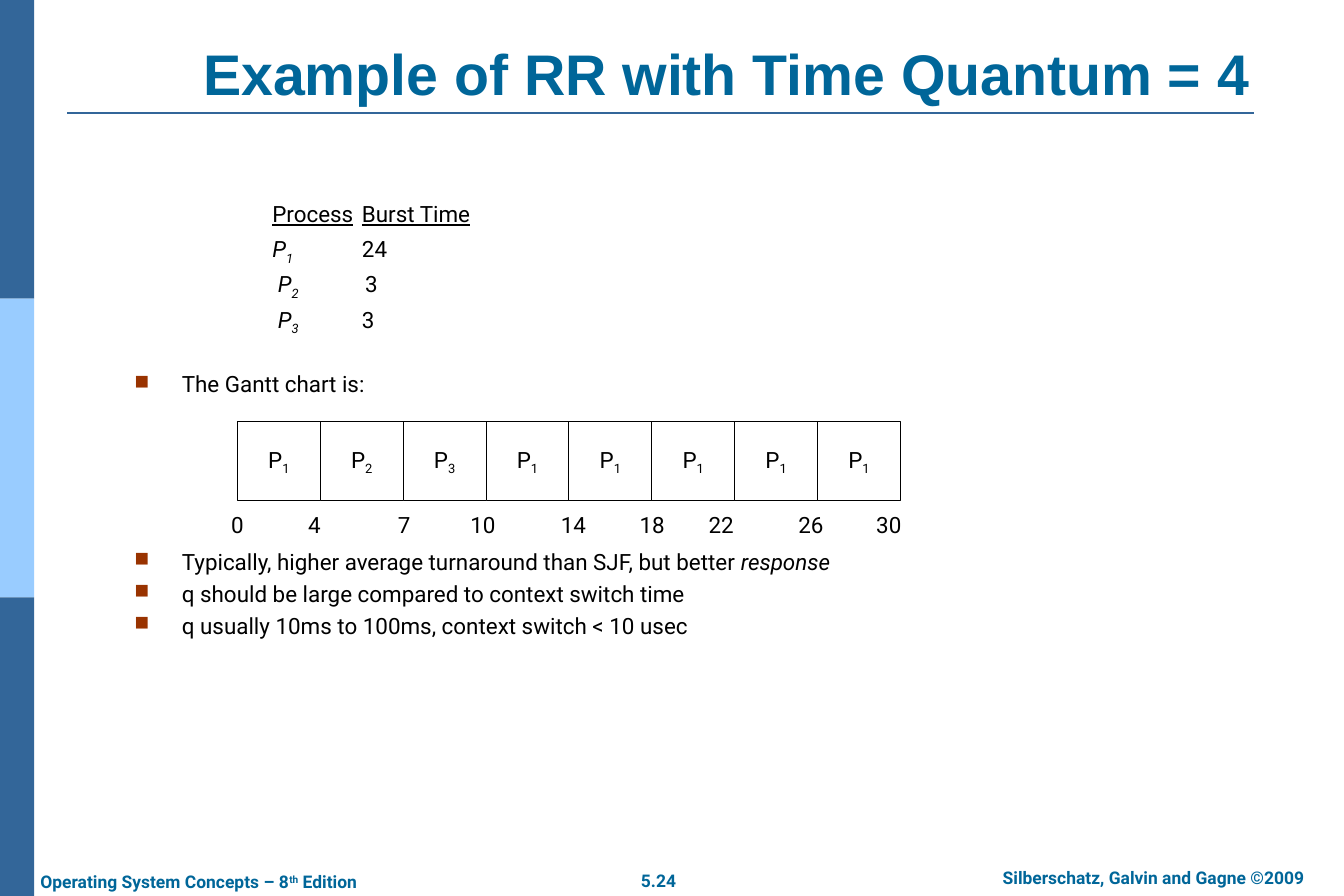
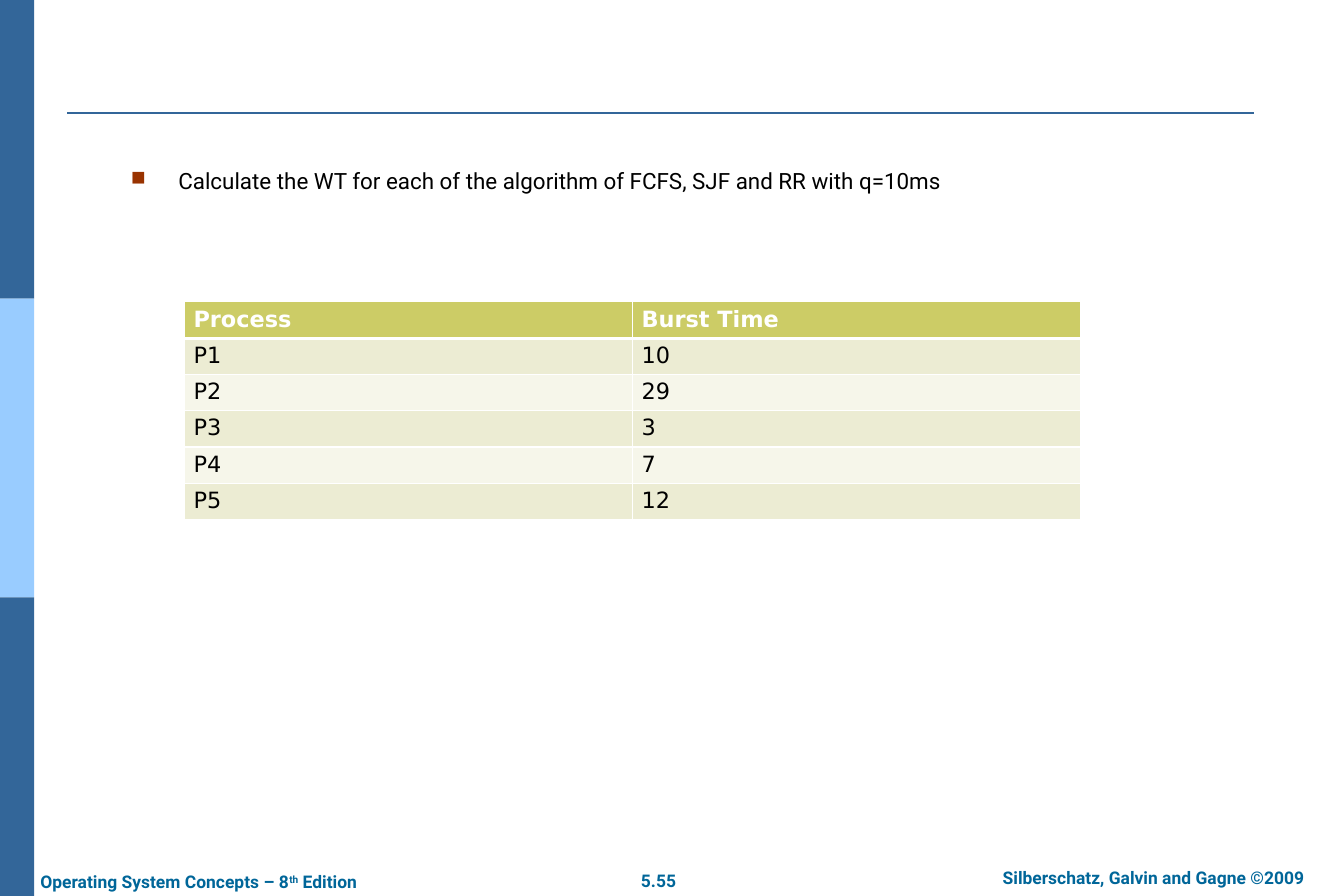
"""Build two lecture slides on round-robin CPU scheduling."""
from dataclasses import dataclass, field
from typing import Any

from lxml.etree import SubElement
from pptx import Presentation
from pptx.dml.color import RGBColor
from pptx.enum.shapes import MSO_CONNECTOR, MSO_SHAPE
from pptx.enum.text import MSO_ANCHOR, PP_ALIGN
from pptx.oxml.ns import qn
from pptx.util import Inches, Pt

BAND, LIGHT_BAND, ACCENT, BULLET = "336699", "99CCFF", "006699", "993300"
BLACK, WHITE = "000000", "FFFFFF"
HEADER_FILL, ROW_FILLS = "CCCC66", ("ECECD3", "F6F6EA")

BODY = {"name": "Roboto", "size": Pt(18), "bold": False}
FOOTER = {"name": "Roboto", "size": Pt(14), "bold": True}
TITLE = {"name": "Arial", "size": Pt(46), "bold": True}
CELL = {"name": "DejaVu Sans", "size": Pt(18)}
SUBSCRIPT, SUPERSCRIPT = -25, 30
WIDE_INSET, NARROW_INSET = (0.14, 0.07), (0.1, 0.05)
HANGING = 0.53


@dataclass
class Span:
    text: str
    baseline: int = 0
    style: dict[str, Any] = field(default_factory=dict)


@dataclass
class Area:
    left: float
    top: float
    width: float
    height: float

    def lengths(self) -> list[int]:
        return [Inches(value) for value in (self.left, self.top, self.width, self.height)]


@dataclass
class Look:
    font: dict[str, Any]
    color: str = BLACK
    align: PP_ALIGN = PP_ALIGN.LEFT
    anchor: MSO_ANCHOR = MSO_ANCHOR.TOP
    wrap: bool = True
    inset: tuple[float, float] = WIDE_INSET
    spacing: float = 1.0
    bullet: bool = False
    tab: float = 0


@dataclass
class TimeMark:
    label: str
    center: float


Line = list[Span]

BODY_LOOK = Look(BODY, spacing=0.9)
BULLET_LOOK = Look(BODY, spacing=0.9, bullet=True)
PROCESS_LOOK = Look(BODY, spacing=0.9, tab=1.0)
GANTT_LOOK = Look(BODY, align=PP_ALIGN.CENTER, anchor=MSO_ANCHOR.MIDDLE,
                  wrap=False, inset=NARROW_INSET)
TITLE_LOOK = Look(TITLE, ACCENT, PP_ALIGN.CENTER, MSO_ANCHOR.BOTTOM)
FOOTER_LOOK = Look(FOOTER, ACCENT, wrap=False)
CENTERED_FOOTER_LOOK = Look(FOOTER, ACCENT, PP_ALIGN.CENTER, wrap=False)

ITALIC, UNDERLINE = {"italic": True}, {"underline": True}
PROCESS_LINES: list[Line] = [
    [Span("Process", style=UNDERLINE), Span("\t"), Span("Burst Time", style=UNDERLINE)],
    [Span("P", style=ITALIC), Span("1\t", SUBSCRIPT, ITALIC), Span("24")],
    [Span(" "), Span("P", style=ITALIC), Span("2\t ", SUBSCRIPT, ITALIC), Span("3")],
    [Span(" "), Span("P", style=ITALIC), Span("3\t", SUBSCRIPT, ITALIC), Span("3")],
]
REMARKS: list[Line] = [
    [Span("Typically, higher average turnaround than SJF, but better "),
     Span("response", style=ITALIC)],
    [Span("q should be large compared to context switch time")],
    [Span("q usually 10ms to 100ms, context switch < 10 usec")],
]
GANTT_ORDER = "12311111"
GANTT_LEFT, GANTT_TOP, GANTT_STEP, GANTT_HEIGHT = 2.65, 4.7, 0.925, 0.89
TIME_MARKS = [
    TimeMark("0", 2.65), TimeMark("4", 3.51), TimeMark("7", 4.51),
    TimeMark("10", 5.39), TimeMark("14", 6.4), TimeMark("18", 7.28),
    TimeMark("22", 8.05), TimeMark("26", 9.05), TimeMark("30", 9.92),
]
BURST_ROWS = [("Process", "Burst Time"), ("P1", "10"), ("P2", "29"),
              ("P3", "3"), ("P4", "7"), ("P5", "12")]


def color_of(value: str) -> RGBColor:
    """Turn a hex string into a colour."""
    return RGBColor.from_string(value)


def set_values(target: Any, values: dict[str, Any]) -> None:
    """Set each named attribute on the target."""
    for name, value in values.items():
        setattr(target, name, value)


def add_spans(para: Any, line: Line, look: Look) -> None:
    """Write the spans of one line into a paragraph."""
    for span in line:
        run = para.add_run()
        run.text = span.text
        set_values(run.font, look.font | span.style)
        run.font.color.rgb = color_of(look.color)
        if span.baseline:
            run.font._element.set("baseline", str(span.baseline * 1000))


def add_bullet(para: Any) -> None:
    """Give a paragraph a hanging square bullet."""
    properties = para._p.get_or_add_pPr()
    properties.set("marL", str(Inches(HANGING)))
    properties.set("indent", str(-Inches(HANGING)))
    tint = SubElement(properties, qn("a:buClr"))
    SubElement(tint, qn("a:srgbClr"), val=BULLET)
    SubElement(properties, qn("a:buSzPct"), val="90000")
    SubElement(properties, qn("a:buChar"), char="■")


def add_tab(para: Any, position: float) -> None:
    """Add a left tab stop to a paragraph."""
    stops = SubElement(para._p.get_or_add_pPr(), qn("a:tabLst"))
    SubElement(stops, qn("a:tab"), pos=str(Inches(position)), algn="l")


def write(box: Any, lines: list[Line], look: Look) -> None:
    """Fill a shape with formatted lines."""
    frame = box.text_frame
    side, edge = (Inches(value) for value in look.inset)
    set_values(frame, {
        "word_wrap": look.wrap, "vertical_anchor": look.anchor,
        "margin_left": side, "margin_right": side,
        "margin_top": edge, "margin_bottom": edge,
    })
    for index, line in enumerate(lines):
        para = frame.add_paragraph() if index else frame.paragraphs[0]
        set_values(para, {
            "alignment": look.align, "line_spacing": look.spacing,
            "space_before": Pt(6.3 if index else 0),
        })
        if look.bullet:
            add_bullet(para)
        if look.tab:
            add_tab(para, look.tab)
        add_spans(para, line, look)


def add_text(shapes: Any, area: Area, lines: list[Line], look: Look) -> None:
    """Add a text box."""
    write(shapes.add_textbox(*area.lengths()), lines, look)


def add_rectangle(shapes: Any, area: Area, fill: str, outline: str = "") -> Any:
    """Add a flat rectangle with an optional outline."""
    box = shapes.add_shape(MSO_SHAPE.RECTANGLE, *area.lengths())
    box.shadow.inherit = False
    box.fill.solid()
    box.fill.fore_color.rgb = color_of(fill)
    if outline:
        box.line.color.rgb = color_of(outline)
        box.line.width = Pt(0.75)
    else:
        box.line.fill.background()
    return box


def add_page(deck: Any, number: str, title: str = "") -> Any:
    """Add a slide with side bands, title rule, footers and title."""
    page = deck.slides.add_slide(deck.slide_layouts[6])
    shapes = page.shapes
    band_height = 10 / 3
    for index, fill in enumerate((BAND, LIGHT_BAND, BAND)):
        add_rectangle(shapes, Area(0, index * band_height, 0.38, band_height), fill)
    rule = shapes.add_connector(MSO_CONNECTOR.STRAIGHT, Inches(0.75), Inches(1.26),
                                Inches(14), Inches(1.26))
    rule.line.color.rgb = color_of(BAND)
    rule.line.width = Pt(1.5)
    SubElement(rule._element.spPr, qn("a:effectLst"))
    add_text(shapes, Area(7, 9.64, 0.7, 0.38), [[Span(number)]], CENTERED_FOOTER_LOOK)
    add_text(shapes, Area(10.65, 9.61, 4.45, 0.38),
             [[Span("Silberschatz, Galvin and Gagne ©2009")]], CENTERED_FOOTER_LOOK)
    add_text(shapes, Area(0.31, 9.65, 4.03, 0.38),
             [[Span("Operating System Concepts – 8"), Span("th", SUPERSCRIPT),
               Span(" Edition")]], FOOTER_LOOK)
    if title:
        add_text(shapes, Area(1.5, 0.03, 13.21, 1.23), [[Span(title)]], TITLE_LOOK)
    return page


def add_gantt(page: Any) -> None:
    """Add the Gantt chart with its time marks as one group."""
    shapes = page.shapes.add_group_shape().shapes
    for index, process in enumerate(GANTT_ORDER):
        area = Area(GANTT_LEFT + index * GANTT_STEP, GANTT_TOP, GANTT_STEP, GANTT_HEIGHT)
        box = add_rectangle(shapes, area, WHITE, BLACK)
        write(box, [[Span("P"), Span(process, SUBSCRIPT)]], GANTT_LOOK)
    for mark in TIME_MARKS:
        add_text(shapes, Area(mark.center - 0.25, 5.66, 0.5, 0.4),
                 [[Span(mark.label)]], GANTT_LOOK)


def add_borders(cell: Any, widths: dict[str, float]) -> None:
    """Draw white borders of the given widths round a cell."""
    properties = cell._tc.get_or_add_tcPr()
    for side, width in widths.items():
        border = SubElement(properties, qn(f"a:ln{side}"), w=str(Pt(width)))
        fill = SubElement(border, qn("a:solidFill"))
        SubElement(fill, qn("a:srgbClr"), val=WHITE)


def add_burst_table(page: Any) -> None:
    """Add the table of burst times."""
    row_height = 0.405
    area = Area(2.06, 3.37, 10, row_height * len(BURST_ROWS))
    table = page.shapes.add_table(len(BURST_ROWS), 2, *area.lengths()).table
    set_values(table, {"first_row": False, "horz_banding": False})
    for row, values in enumerate(BURST_ROWS):
        table.rows[row].height = Inches(row_height)
        header = row == 0
        fill = HEADER_FILL if header else ROW_FILLS[(row - 1) % 2]
        look = Look(CELL | {"bold": header}, WHITE if header else BLACK)
        for column, value in enumerate(values):
            cell = table.cell(row, column)
            add_borders(cell, {"L": 1, "R": 1, "T": 3 if row == 1 else 1,
                               "B": 3 if header else 1})
            cell.fill.solid()
            cell.fill.fore_color.rgb = color_of(fill)
            add_spans(cell.text_frame.paragraphs[0], [Span(value)], look)


def build_round_robin(deck: Any) -> None:
    """Build the round-robin example slide."""
    page = add_page(deck, "5.24", "Example of RR with Time Quantum = 4")
    add_text(page.shapes, Area(2.9, 2.2, 4, 1.7), PROCESS_LINES, PROCESS_LOOK)
    add_text(page.shapes, Area(1.36, 4.1, 12.06, 0.4),
             [[Span("The Gantt chart is:")]], BULLET_LOOK)
    add_text(page.shapes, Area(1.36, 6.08, 12.06, 1.2), REMARKS, BULLET_LOOK)
    add_gantt(page)


def build_exercise(deck: Any) -> None:
    """Build the waiting-time exercise slide."""
    page = add_page(deck, "5.55")
    question = "Calculate the WT for each of the algorithm of FCFS, SJF and RR with q=10ms"
    add_text(page.shapes, Area(1.32, 1.8, 13.5, 0.5), [[Span(question)]],
             Look(BODY, bullet=True))
    add_burst_table(page)


def main() -> None:
    """Build and save the deck."""
    deck = Presentation()
    deck.slide_width, deck.slide_height = Inches(15), Inches(10)
    build_round_robin(deck)
    build_exercise(deck)
    deck.save("out.pptx")


if __name__ == "__main__":
    main()
